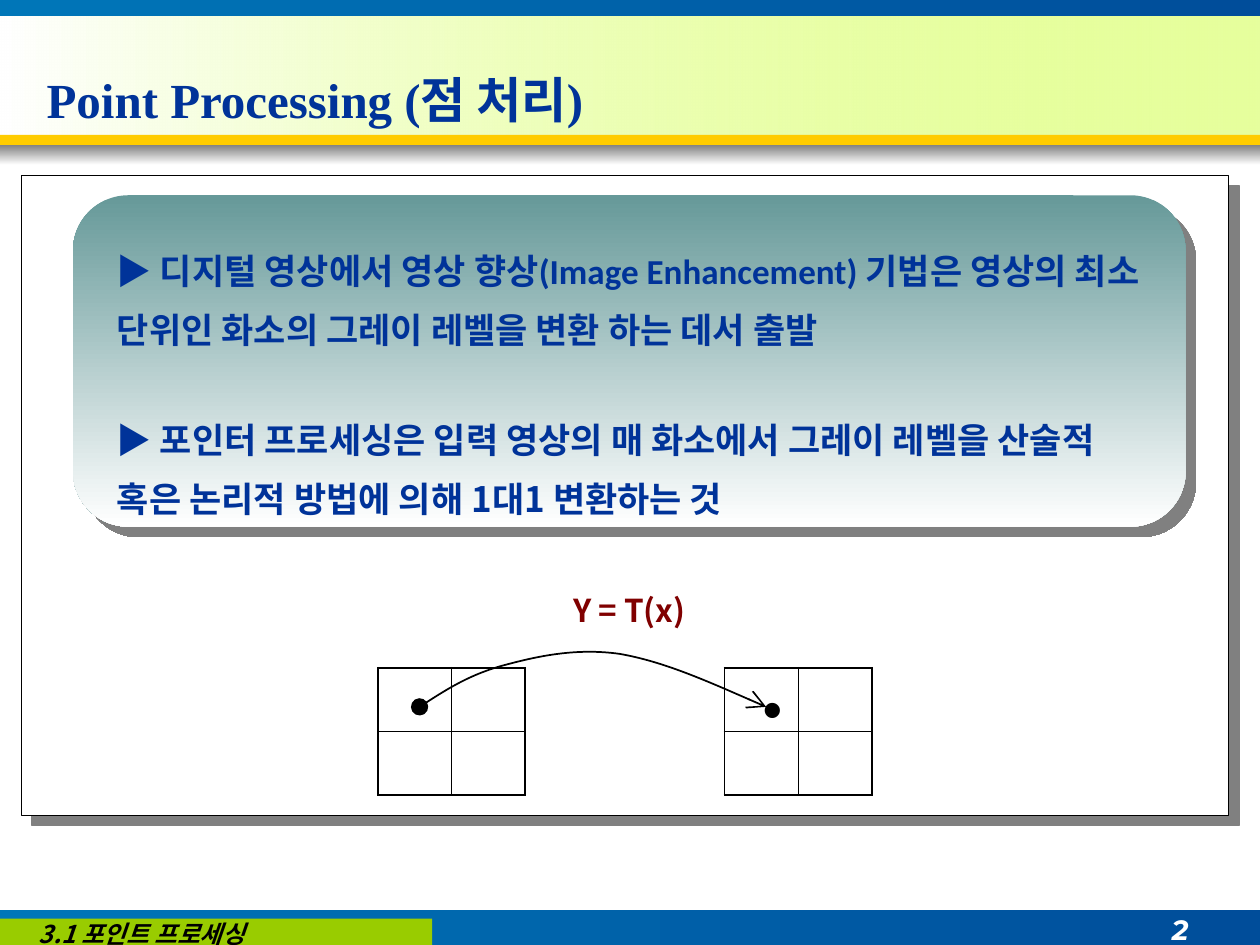
"""Build a slide that explains point processing of images."""
from lxml import etree
from pptx import Presentation
from pptx.dml.color import RGBColor
from pptx.enum.shapes import MSO_SHAPE
from pptx.enum.text import MSO_ANCHOR, PP_ALIGN
from pptx.oxml.ns import qn
from pptx.util import Inches, Pt

RECT, ROUNDED = MSO_SHAPE.RECTANGLE, MSO_SHAPE.ROUNDED_RECTANGLE
LEFT, CENTER, RIGHT = PP_ALIGN.LEFT, PP_ALIGN.CENTER, PP_ALIGN.RIGHT
TOP, MIDDLE, BOTTOM = MSO_ANCHOR.TOP, MSO_ANCHOR.MIDDLE, MSO_ANCHOR.BOTTOM
KOREAN = "Noto Sans CJK KR"
COLORS = {
    "white": "FFFFFF", "black": "000000", "gray": "808080", "lime": "CCFF33",
    "blue": "0076B8", "deep": "004D9A", "gold": "FFCC00", "green": "99CC00",
    "teal": "669999", "navy": "003399", "maroon": "800000",
}


def add_panel(place, fill, shape=RECT, angle=0, line=None, shadow=False):
    panel = page.shapes.add_shape(shape, *map(Inches, place))
    if len(fill) == 1:
        panel.fill.solid()
        panel.fill.fore_color.rgb = RGBColor.from_string(COLORS[fill[0]])
    else:
        panel.fill.gradient()
        panel.fill.gradient_angle = angle
        for stop, name in zip(panel.fill.gradient_stops, fill):
            stop.color.rgb = RGBColor.from_string(COLORS[name])
    if line:
        panel.line.color.rgb = RGBColor.from_string(COLORS[line])
        panel.line.width = Pt(0.75)
    else:
        panel.line.fill.background()
    panel.shadow.inherit = False
    if shadow:
        effects = panel._element.spPr.find(qn("a:effectLst"))
        outer = etree.SubElement(effects, qn("a:outerShdw"), dist=str(Pt(8.5)),
                                 dir="2700000", algn="ctr", rotWithShape="0")
        etree.SubElement(outer, qn("a:srgbClr"), val=COLORS["gray"])
    return panel


def add_text(place, runs, size, color, align=LEFT, anchor=TOP, bold=True,
             italic=False, spacing=None, wrap=True, box=None):
    box = box or page.shapes.add_textbox(0, 0, 0, 0)
    box.left, box.top, box.width, box.height = map(Inches, place)
    frame = box.text_frame
    frame.word_wrap = wrap
    frame.vertical_anchor = anchor
    para = frame.paragraphs[0]
    para.alignment = align
    para.line_spacing = spacing
    for text, font_name in runs:
        span = para.add_run()
        span.text = text
        span.font.name = font_name
        span.font.size = Pt(size)
        span.font.bold = bold
        span.font.italic = italic
        span.font.color.rgb = RGBColor.from_string(COLORS[color])
        etree.SubElement(span._r.get_or_add_rPr(), qn("a:ea"), typeface=KOREAN)


deck = Presentation()
deck.slide_width, deck.slide_height = Inches(10), Inches(7.5)
page = deck.slides.add_slide(deck.slide_layouts[5])

header = add_panel((0, 0.13, 10, 0.95), ("white", "lime"))
end_color = header._element.spPr.findall(".//" + qn("a:srgbClr"))[-1]
etree.SubElement(end_color, qn("a:alpha"), val="48000")
add_panel((0, 0, 10, 0.13), ("blue", "deep"))
add_panel((0, 1.07, 10, 0.08), ("gold",))
add_panel((0, 1.15, 10, 0.16), ("gray", "white"), angle=270)
add_panel((0, 7.22, 10, 0.31), ("blue", "deep"))
add_panel((0, 7.29, 3.43, 0.24), ("green",))

title = page.shapes.title
page.shapes._spTree.append(title._element)
add_text((0.27, 0.13, 8.9, 0.94), [("Point Processing (점 처리)", "Times New Roman")],
         28, "navy", anchor=BOTTOM, box=title)
add_text((8.54, 7.19, 0.99, 0.31), [("2", "Montserrat")], 16, "white",
         align=RIGHT, italic=True)
add_text((0.21, 7.21, 2.83, 0.4), [("3.1 포인트 프로세싱", KOREAN)], 14, "black",
         anchor=MIDDLE, italic=True, wrap=False)

add_panel((0.17, 1.39, 9.58, 5.08), ("white",), line="black", shadow=True)
add_panel((0.58, 1.55, 8.83, 2.63), ("teal", "white"), shape=ROUNDED, angle=270,
          shadow=True)

statements = [
    (1.8, [("디지털 영상에서 영상 향상", KOREAN),
           ("(Image Enhancement) ", "Calibri"),
           ("기법은 영상의 최소 단위인 화소의 그레이 레벨을 변환 하는 데서 출발", KOREAN)]),
    (3.14, [("포인터 프로세싱은 입력 영상의 매 화소에서 그레이 레벨을 산술적 "
             "혹은 논리적 방법에 의해 1대1 변환하는 것", KOREAN)]),
]
for top, runs in statements:
    add_text((0.83, top, 8.42, 1.04), [("▶ ", "Arial")] + runs, 20, "navy", spacing=1.4)
add_text((2.83, 4.64, 4.33, 0.4), [("Y = T(x)", KOREAN)], 18, "maroon", align=CENTER)

for left in (3, 5.75):
    grid = page.shapes.add_table(2, 2, Inches(left), Inches(5.3),
                                 Inches(1.17), Inches(1.01)).table
    grid.first_row = grid.horz_banding = False
    for row in range(2):
        for column in range(2):
            cell = grid.cell(row, column)
            cell.fill.background()
            outer_sides = ("lnL", "lnR")[column], ("lnT", "lnB")[row]
            for index, side in enumerate(("lnL", "lnR", "lnT", "lnB")):
                width = Pt(1.08 if side in outer_sides else 0.45)
                border = etree.Element(qn("a:" + side), w=str(width))
                solid = etree.SubElement(border, qn("a:solidFill"))
                etree.SubElement(solid, qn("a:srgbClr"), val=COLORS["black"])
                cell._tc.get_or_add_tcPr().insert(index, border)

curve_points = [
    (3.53, 5.48), (3.74, 5.35), (4, 5.28),
    (4.26, 5.21), (4.57, 5.14), (4.92, 5.19),
    (5.26, 5.25), (5.67, 5.43), (6.08, 5.61),
]
builder = page.shapes.build_freeform(Inches(3.33), Inches(5.61))
builder.add_line_segments([tuple(map(Inches, point)) for point in curve_points],
                          close=False)
curve = builder.convert_to_shape()
curve.fill.background()
curve.line.color.rgb = RGBColor.from_string(COLORS["black"])
curve.line.width = Pt(1)
curve.shadow.inherit = False
outline = curve._element.spPr.find(".//" + qn("a:path"))
segments = outline.findall(qn("a:lnTo"))
for start in range(0, len(segments), 3):
    bezier = etree.SubElement(outline, qn("a:cubicBezTo"))
    for segment in segments[start:start + 3]:
        bezier.append(segment[0])
        outline.remove(segment)
for end, kind in (("headEnd", "oval"), ("tailEnd", "arrow")):
    etree.SubElement(curve.line._get_or_add_ln(), qn("a:" + end),
                     type=kind, w="lg", len="lg")

add_text((5.42, 5.3, 1.42, 0.64), [("•", "Arial")], 32, "black", align=CENTER, bold=False)

deck.save("out.pptx")
